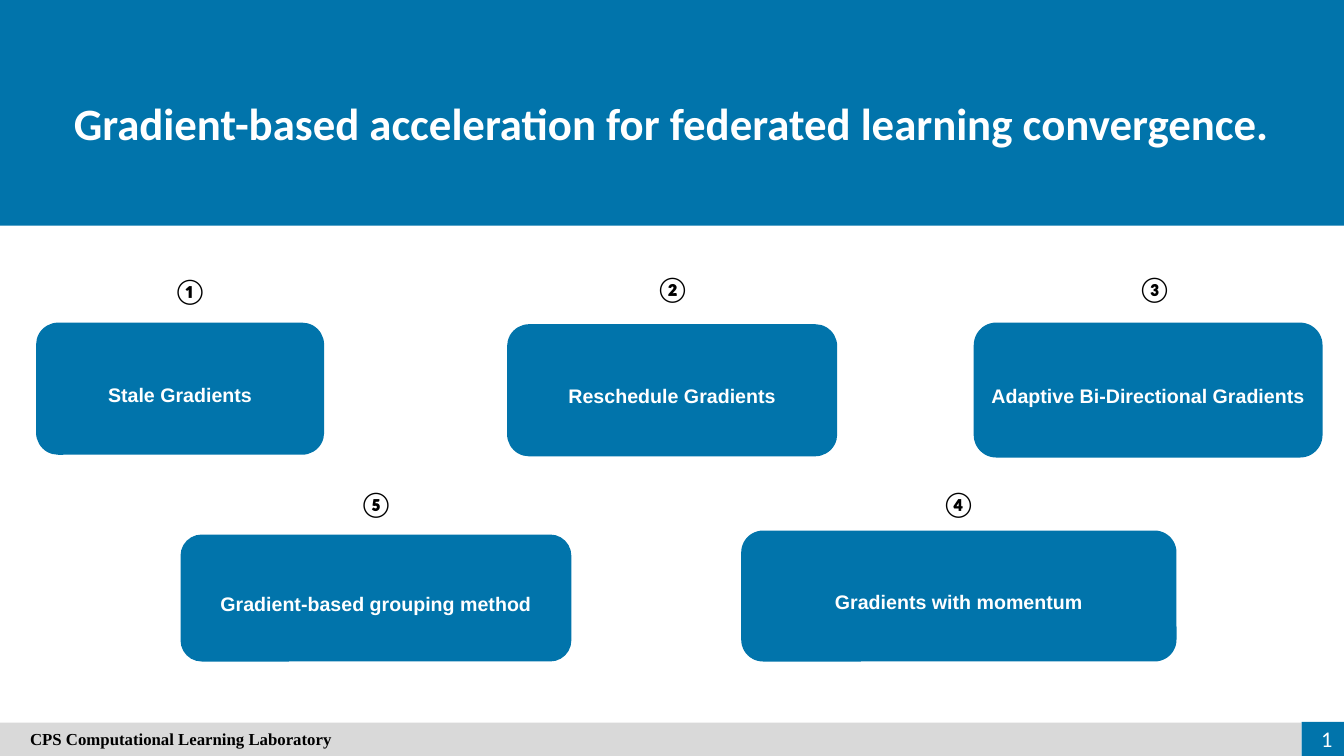
from pptx import Presentation
from pptx import util as u
from pptx.dml.color import RGBColor
from pptx.enum import shapes, text
from pptx.oxml.ns import qn

BLUE, GREY, WHITE, BLACK = "0174AB", "D9D9D9", "FFFFFF", "000000"
TITLE = "Gradient-based acceleration for federated learning convergence."
FOOTER = "CPS Computational Learning Laboratory"

# Methods: label, box (left, top, width, height), number, number centre and top; all in cm
METHODS = [
    ("Stale Gradients", (0.91, 8.13, 7.26, 3.33), "①", (4.79, 6.81)),
    ("Reschedule Gradients", (12.78, 8.17, 8.32, 3.33), "②", (16.95, 6.76)),
    ("Adaptive Bi-Directional Gradients", (24.54, 8.13, 8.79, 3.4), "③", (29.1, 6.76)),
    ("Gradients with momentum", (18.68, 13.37, 10.97, 3.3), "④", (24.16, 12.17)),
    ("Gradient-based grouping method", (4.55, 13.47, 9.85, 3.2), "⑤", (9.48, 12.17)),
]
NUMBER_W, NUMBER_H = 1.15, 1.0


def color(hex_code):
    return RGBColor.from_string(hex_code)


def write(sp, words, size, font="Calibri", fill=WHITE, bold=True, spacing=None,
          align=text.PP_ALIGN.CENTER, anchor=text.MSO_ANCHOR.MIDDLE, wrap=True):
    tf = sp.text_frame
    tf.word_wrap, tf.vertical_anchor = wrap, anchor
    tf.auto_size = text.MSO_AUTO_SIZE.NONE
    p = tf.paragraphs[0]
    p.alignment, p.line_spacing = align, spacing
    r = p.add_run()
    r.text = words
    r.font.size, r.font.name, r.font.bold = u.Pt(size), font, bold
    r.font.color.rgb = color(fill)
    return r


def add_block(s, kind, box, fill):
    sp = s.shapes.add_shape(kind, *map(u.Cm, box))
    sp.shadow.inherit = False
    sp.fill.solid()
    sp.fill.fore_color.rgb = color(fill)
    sp.line.fill.background()
    return sp


def main():
    prs = Presentation()
    prs.slide_width, prs.slide_height = u.Cm(33.87), u.Cm(19.05)
    s = prs.slides.add_slide(prs.slide_layouts[5])
    rect, rounded = shapes.MSO_SHAPE.RECTANGLE, shapes.MSO_SHAPE.ROUNDED_RECTANGLE

    # Header band, with the title in front of it
    add_block(s, rect, (0, 0, 33.87, 5.69), BLUE)
    title = s.shapes.title
    title.left, title.top, title.width, title.height = map(u.Cm, (1.4, 1.6, 31.06, 2.31))
    write(title, TITLE, 32, spacing=1.5, anchor=text.MSO_ANCHOR.TOP)
    title.element.getparent().append(title.element)

    # Footer bar and page number
    footer = add_block(s, rect, (0, 18.21, 32.8, 0.84), GREY)
    footer.text_frame.margin_left = u.Cm(0.76)
    write(footer, FOOTER, 12, "Times New Roman", BLACK, align=text.PP_ALIGN.LEFT)
    add_block(s, rect, (32.8, 18.19, 1.07, 0.86), BLUE)
    page = s.shapes.add_textbox(*map(u.Cm, (32.23, 18.11, 1.6, 1.02)))
    r = write(page, "1", 16, bold=False, align=text.PP_ALIGN.RIGHT)
    field = r._r
    field.tag = qn("a:fld")
    field.set("id", "{5B2A7C10-3D4E-4F60-8A91-B2C3D4E5F607}")
    field.set("type", "slidenum")

    # Numbered methods
    for label, box, number, (center, top) in METHODS:
        sp = add_block(s, rounded, box, BLUE)
        sp.text_frame.margin_left = sp.text_frame.margin_right = u.Cm(0.2)
        write(sp, label, 14, "Arial", spacing=1.5)
        mark = s.shapes.add_textbox(u.Cm(center - NUMBER_W / 2), u.Cm(top),
                                    u.Cm(NUMBER_W), u.Cm(NUMBER_H))
        write(mark, number, 18, fill=BLACK, anchor=text.MSO_ANCHOR.TOP, wrap=False)

    prs.save("out.pptx")


if __name__ == "__main__":
    main()
